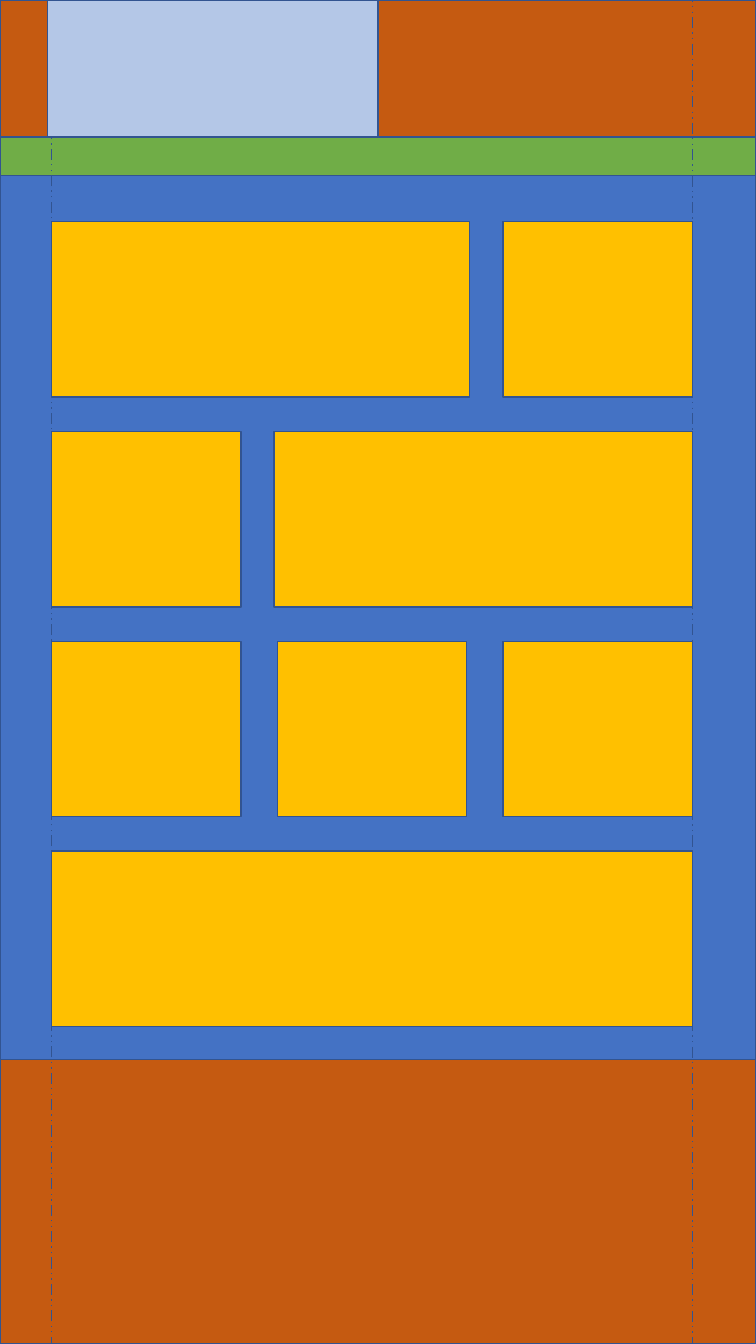
from dataclasses import dataclass
from typing import Iterator, Optional

from pptx import Presentation
from pptx.dml.color import RGBColor
from pptx.enum.dml import MSO_LINE
from pptx.enum.shapes import MSO_SHAPE
from pptx.slide import Slide
from pptx.util import Inches, Pt


@dataclass(frozen=True)
class Theme:
    page: str = "4472C4"
    band: str = "C55A11"
    menu: str = "70AD47"
    logo: str = "B4C7E7"
    card: str = "FFC000"
    edge: str = "325491"
    line: float = 1


@dataclass(frozen=True)
class Box:
    left: float
    top: float
    width: float
    height: float
    fill: Optional[str] = None
    dash: Optional[MSO_LINE] = None


THEME = Theme()
WIDTH, HEIGHT = 7.5, 13.33

# Content column and card grid
LEFT, SPAN = 0.51, 6.36
TOP, STEP, TALL = 2.2, 2.08, 1.74
SMALL, LARGE = 1.88, 4.15
ROWS = [(LARGE, SMALL), (SMALL, LARGE), (SMALL, SMALL, SMALL), (SPAN,)]


def cards() -> Iterator[Box]:
    """Spread each row of cards evenly over the content column."""
    for row, sizes in enumerate(ROWS):
        gap = (SPAN - sum(sizes)) / max(len(sizes) - 1, 1)
        left = LEFT
        for size in sizes:
            yield Box(left, TOP + row * STEP, size, TALL, THEME.card)
            left += size + gap


def draw(slide: Slide, box: Box) -> None:
    shape = slide.shapes.add_shape(
        MSO_SHAPE.RECTANGLE, Inches(box.left), Inches(box.top),
        Inches(box.width), Inches(box.height))
    shape.shadow.inherit = False
    if box.fill:
        shape.fill.solid()
        shape.fill.fore_color.rgb = RGBColor.from_string(box.fill)
    else:
        shape.fill.background()
    shape.line.color.rgb = RGBColor.from_string(THEME.edge)
    shape.line.width = Pt(THEME.line)
    if box.dash:
        shape.line.dash_style = box.dash


def main() -> None:
    deck = Presentation()
    deck.slide_width, deck.slide_height = Inches(WIDTH), Inches(HEIGHT)
    slide = deck.slides.add_slide(deck.slide_layouts[6])

    boxes = [
        # Page and header
        Box(0, 0, WIDTH, HEIGHT, THEME.page),
        Box(0, 0, WIDTH, 1.74, THEME.band),
        # Cards
        *cards(),
        # Menu bar and footer
        Box(0, 1.36, WIDTH, 0.38, THEME.menu),
        Box(0, 10.51, WIDTH, 2.82, THEME.band),
        # Column guide and logo area
        Box(LEFT, 0, SPAN, HEIGHT, dash=MSO_LINE.DASH_DOT_DOT),
        Box(0.47, 0, 3.28, 1.36, THEME.logo),
    ]
    for box in boxes:
        draw(slide, box)
    deck.save("out.pptx")


if __name__ == "__main__":
    main()
